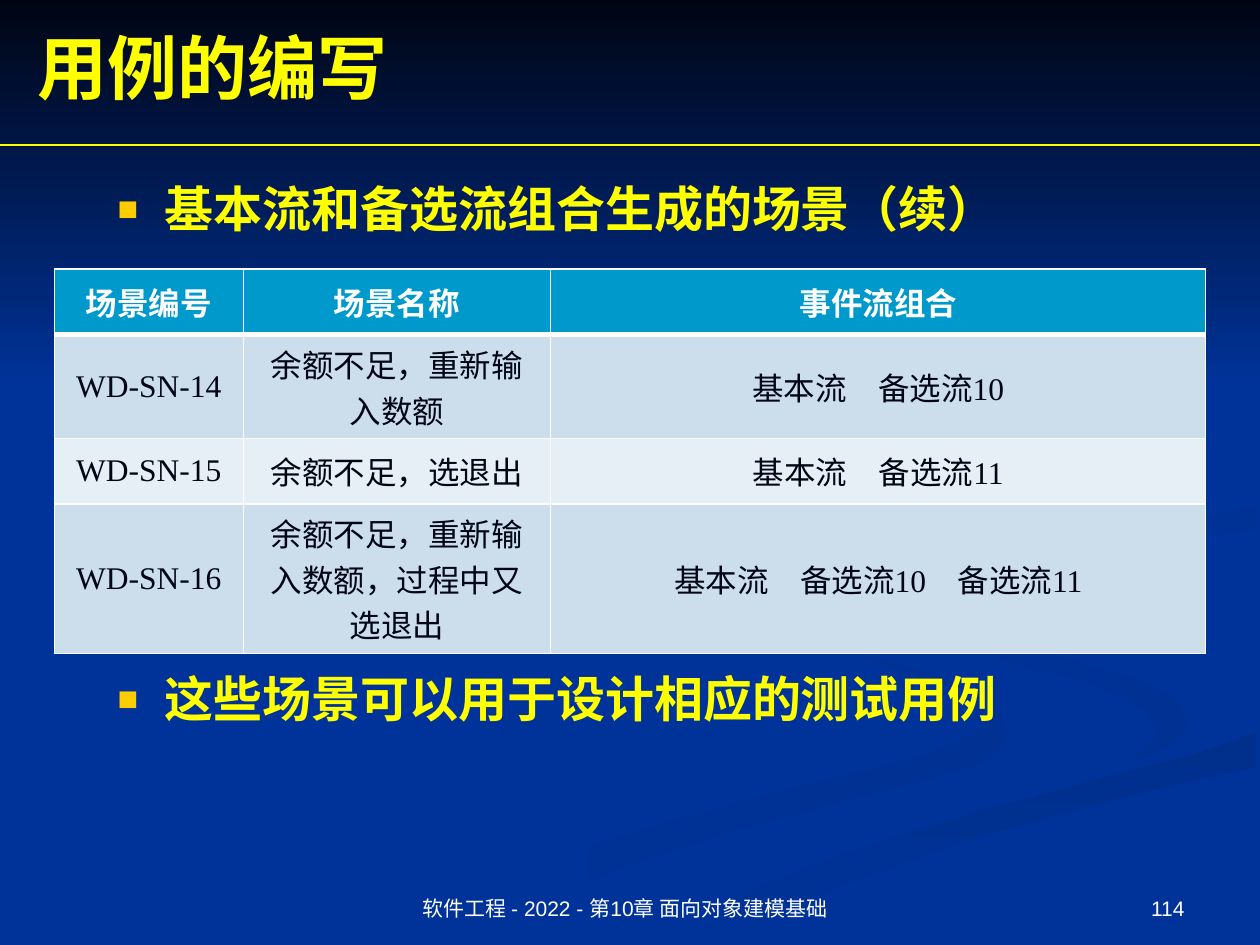
import pptx
import pptx.dml.color
import pptx.enum.shapes
import pptx.enum.text
import pptx.oxml
import pptx.oxml.ns
import pptx.util
from dataclasses import dataclass

Pt = pptx.util.Pt
ALIGN = pptx.enum.text.PP_ALIGN
ANCHOR = pptx.enum.text.MSO_ANCHOR
NAMESPACE = pptx.oxml.ns.nsdecls("a")


@dataclass(frozen=True)
class Theme:
    background: str = "003399"
    night: str = "000514"
    accent: str = "FFFF00"
    bullet: str = "FFCC00"
    white: str = "FFFFFF"
    header: str = "0099CC"
    bands: tuple = ("CCDEEC", "E7EFF6")
    serif: str = "Times New Roman"
    sans: str = "Arial"
    title_size: int = 40
    body_size: int = 28
    table_size: int = 18
    footer_size: int = 12


THEME = Theme()
TITLE_FONT = {"name": THEME.serif, "size": THEME.title_size, "bold": True, "color": THEME.accent}
BODY_FONT = {**TITLE_FONT, "size": THEME.body_size}
HEADER_FONT = {**TITLE_FONT, "size": THEME.table_size, "color": THEME.white}
CELL_FONT = {**HEADER_FONT, "bold": False, "color": THEME.night}
FOOTER_FONT = {"name": THEME.sans, "size": THEME.footer_size, "color": THEME.white}

# Each ribbon: box, first colour, last colour, clockwise angle, outline within the box.
RIBBONS = [
    ((216, 330.5), THEME.background, "003193", 0,
     [(0, 209), (55, 179), (114, 155), (172, 137), (228, 122), (276, 111), (307, 103),
      (330, 94), (346, 86), (350, 77), (346, 70), (333, 63), (308, 55), (273, 43),
      (238, 33), (211, 23), (196, 12), (198, 0), (201, 10), (217, 22), (246, 35),
      (275, 43), (310, 53), (329, 60), (346, 68), (356, 78), (360, 88), (356, 96),
      (346, 105), (317, 114), (271, 126), (212, 142), (143, 164), (94, 184), (44, 209)]),
    ((521.3, 334), THEME.background, "003193", 45,
     [(0, 0), (6, 17), (30, 35), (66, 48), (94, 54), (121, 64), (135, 74), (140, 84),
      (135, 93), (122, 102), (145, 93), (156, 84), (158, 76), (148, 64), (130, 55),
      (91, 43), (49, 32), (15, 19)]),
    ((362, 418.3), "002F8C", THEME.background, 90,
     [(0, 121), (49, 121), (60, 114), (91, 99), (138, 80), (203, 58), (288, 35),
      (356, 20), (356, 0), (322, 12), (262, 28), (188, 48), (114, 72), (48, 99), (12, 120)]),
    ((562.3, 289.4), "003091", THEME.background, 45,
     [(0, 42), (7, 55), (32, 68), (17, 53), (34, 37), (70, 27), (112, 19), (156, 13),
      (156, 0), (109, 9), (60, 16), (21, 25)]),
]

ROWS = [
    ("场景编号", "场景名称", "事件流组合"),
    ("WD-SN-14", "余额不足，重新输入数额", "基本流\t备选流10"),
    ("WD-SN-15", "余额不足，选退出", "基本流\t备选流11"),
    ("WD-SN-16", "余额不足，重新输入数额，过程中又选退出", "基本流　备选流10　备选流11"),
]


def color(value):
    return pptx.dml.color.RGBColor.from_string(value)


def set_font(font, formats):
    for name, value in formats.items():
        if name == "color":
            font.color.rgb = color(value)
        else:
            setattr(font, name, Pt(value) if name == "size" else value)


def write(para, text, formats, align):
    para.alignment = align
    span = para.add_run()
    span.text = text
    set_font(span.font, formats)


def shade(shape, first, last, angle):
    """Fill with a gradient whose angle runs clockwise, without outline."""
    shape.shadow.inherit = False
    shape.line.fill.background()
    shape.fill.gradient()
    shape.fill.gradient_angle = -angle % 360
    for stop, value in zip(shape.fill.gradient_stops, (first, last)):
        stop.color.rgb = color(value)
    for stop, position in zip(shape.fill.gradient_stops, (0, 1)):
        stop.position = position


def add_backdrop(page, box):
    left, top, width, height = box
    page.background.fill.solid()
    page.background.fill.fore_color.rgb = color(THEME.background)
    for (x, y), first, last, angle, points in RIBBONS:
        builder = page.shapes.build_freeform(*points[0], scale=Pt(1))
        builder.add_line_segments(points[1:], close=True)
        ribbon = builder.convert_to_shape(Pt(left + x), Pt(top + y))
        shade(ribbon, first, last, angle)
    band = page.shapes.add_shape(pptx.enum.shapes.MSO_SHAPE.RECTANGLE,
                                 Pt(left), Pt(top), Pt(width), Pt(221.8))
    shade(band, THEME.night, THEME.background, 90)
    rule = page.shapes.add_connector(pptx.enum.shapes.MSO_CONNECTOR.STRAIGHT, Pt(left),
                                     Pt(top + 82.8), Pt(left + width), Pt(top + 82.8))
    rule.line.color.rgb = color(THEME.accent)
    rule.line.width = Pt(0.75)
    rule._element.spPr.append(pptx.oxml.parse_xml(f"<a:effectLst {NAMESPACE}/>"))


def place_holder(page, holder, box, anchor):
    """Move a placeholder to its box, in front of the backdrop."""
    page.shapes.element.append(holder.element)
    holder.left, holder.top, holder.width, holder.height = map(Pt, box)
    frame = holder.text_frame
    frame.word_wrap = True
    frame.auto_size = pptx.enum.text.MSO_AUTO_SIZE.NONE
    frame.vertical_anchor = anchor
    return frame


def add_title(page, box, text):
    frame = place_holder(page, page.shapes.title, box, ANCHOR.MIDDLE)
    write(frame.paragraphs[0], text, TITLE_FONT, ALIGN.LEFT)


def add_bullets(page, box, items):
    """Write (text, space before) items as a square-bulleted list."""
    frame = place_holder(page, page.placeholders[1], box, ANCHOR.TOP)
    for index, (text, gap) in enumerate(items):
        para = frame.add_paragraph() if index else frame.paragraphs[0]
        properties = para._p.get_or_add_pPr()
        properties.set("marL", str(Pt(27)))
        properties.set("indent", str(-Pt(27)))
        for mark in (f'<a:buClr {NAMESPACE}><a:srgbClr val="{THEME.bullet}"/></a:buClr>',
                     f'<a:buSzPct {NAMESPACE} val="70000"/>',
                     f'<a:buFont {NAMESPACE} typeface="{THEME.sans}"/>',
                     f'<a:buChar {NAMESPACE} char="■"/>'):
            properties.append(pptx.oxml.parse_xml(mark))
        para.line_spacing = 0.9
        para.space_before = Pt(gap)
        write(para, text, BODY_FONT, ALIGN.LEFT)


def set_borders(cell, top, bottom):
    properties = cell._tc.get_or_add_tcPr()
    widths = {"lnL": 1, "lnR": 1, "lnT": top, "lnB": bottom}
    for index, (side, width) in enumerate(widths.items()):
        properties.insert(index, pptx.oxml.parse_xml(
            f'<a:{side} {NAMESPACE} w="{Pt(width)}"><a:solidFill>'
            f'<a:srgbClr val="{THEME.white}"/></a:solidFill></a:{side}>'))


def add_scenarios(page, box, widths, heights):
    table = page.shapes.add_table(len(ROWS), len(widths), *map(Pt, box)).table
    for column, width in zip(table.columns, widths):
        column.width = Pt(width)
    for index, (row, height, texts) in enumerate(zip(table.rows, heights, ROWS)):
        row.height = Pt(height)
        for cell, text in zip(row.cells, texts):
            cell.vertical_anchor = ANCHOR.MIDDLE
            cell.fill.solid()
            fill = THEME.bands[(index - 1) % 2] if index else THEME.header
            cell.fill.fore_color.rgb = color(fill)
            set_borders(cell, 3 if index == 1 else 1, 3 if index == 0 else 1)
            formats = CELL_FONT if index else HEADER_FONT
            write(cell.text_frame.paragraphs[0], text, formats, ALIGN.CENTER)


def add_footer(page, box, text, align):
    frame = page.shapes.add_textbox(*map(Pt, box)).text_frame
    frame.word_wrap = True
    frame.vertical_anchor = ANCHOR.BOTTOM
    write(frame.paragraphs[0], text, FOOTER_FONT, align)


def main():
    deck = pptx.Presentation()
    deck.slide_width, deck.slide_height = Pt(720), Pt(540)
    page = deck.slides.add_slide(deck.slide_layouts[1])
    add_backdrop(page, (0, 0, 720, 540))
    add_title(page, (14.4, 10, 648, 55.5), "用例的编写")
    add_bullets(page, (60, 102, 606, 54), [("基本流和备选流组合生成的场景（续）", 0),
                                           ("这些场景可以用于设计相应的测试用例", 250)])
    add_scenarios(page, (31, 153.8, 658, 197.3), (108, 175.7, 374.3), (37.4, 50.4, 37.4, 72))
    add_footer(page, (224, 492, 266.4, 37.5), "软件工程 - 2022 - 第10章 面向对象建模基础", ALIGN.CENTER)
    add_footer(page, (516, 492, 168, 37.5), "114", ALIGN.RIGHT)
    deck.save("out.pptx")


if __name__ == "__main__":
    main()
